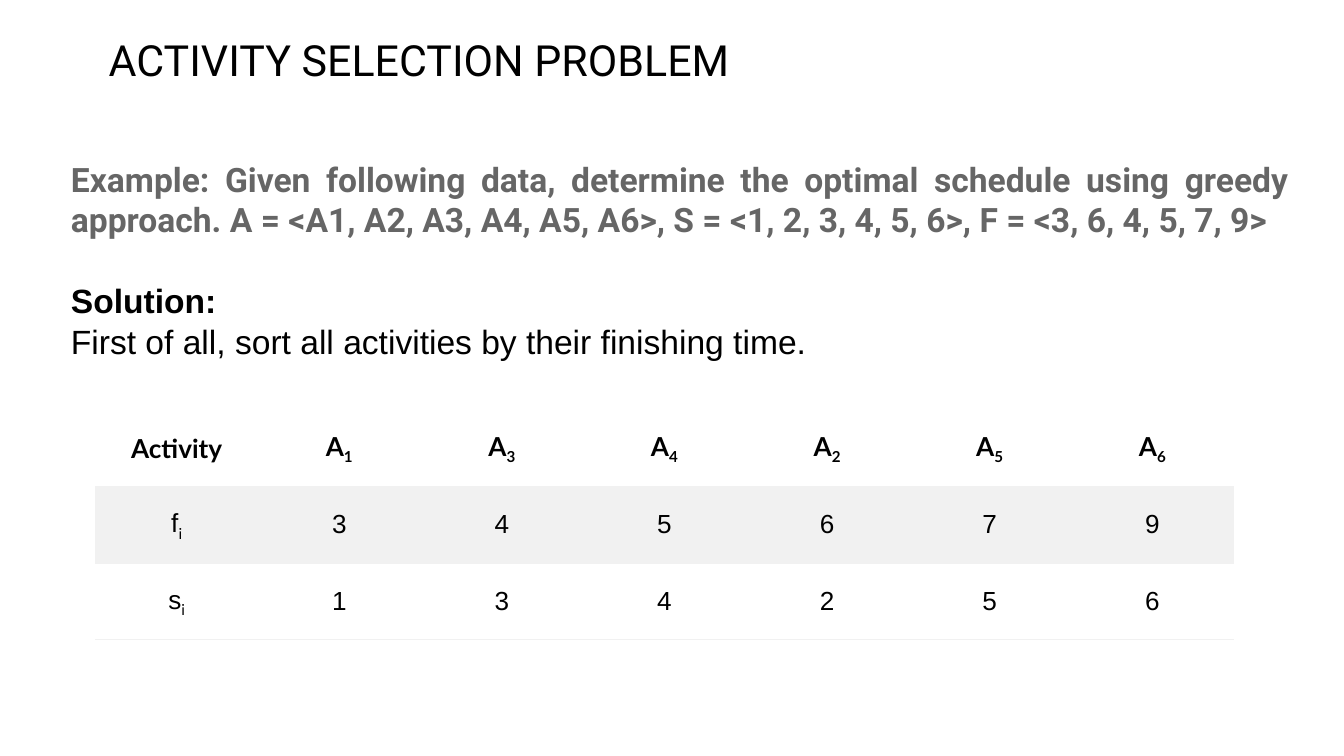
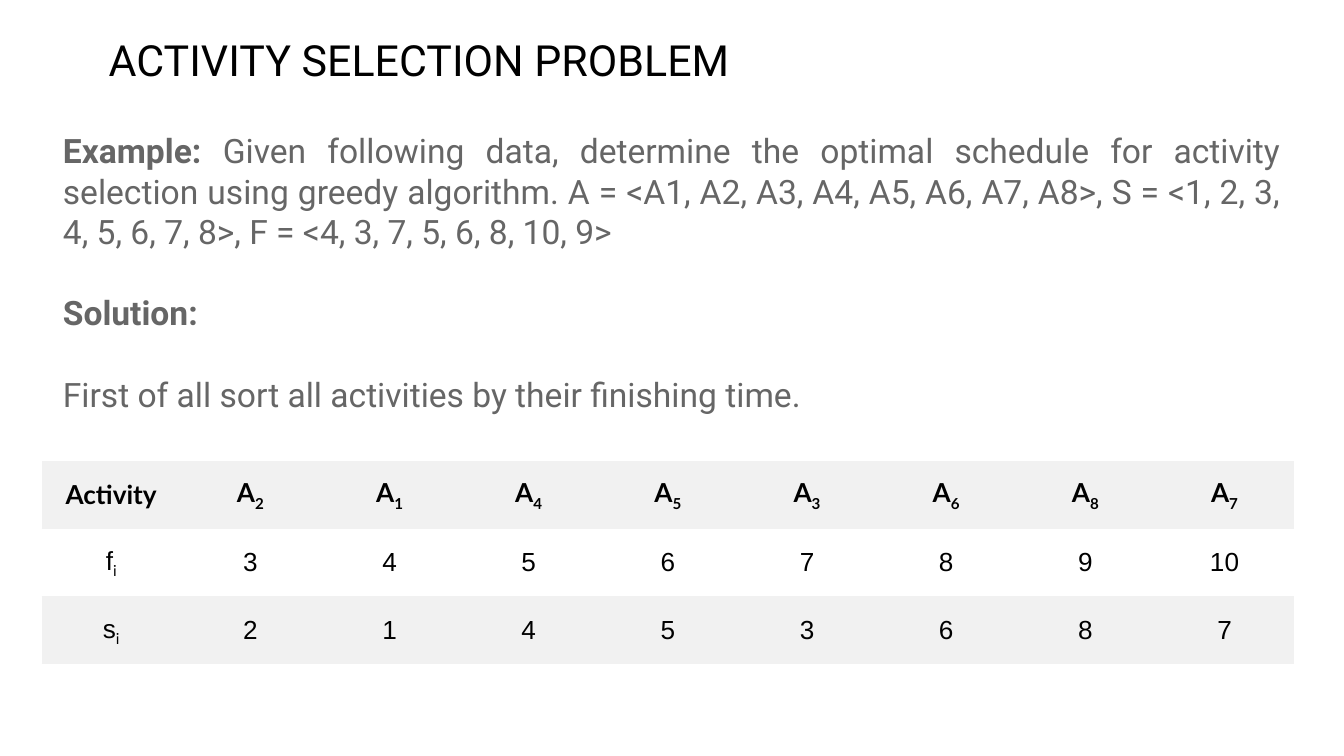
from dataclasses import dataclass

from lxml import etree
from pptx import Presentation
from pptx.dml.color import RGBColor
from pptx.enum.text import MSO_ANCHOR, MSO_AUTO_SIZE, PP_ALIGN
from pptx.oxml.ns import qn
from pptx.util import Inches, Pt

LEFT, CENTER, JUSTIFY = PP_ALIGN.LEFT, PP_ALIGN.CENTER, PP_ALIGN.JUSTIFY
MIDDLE = MSO_ANCHOR.MIDDLE
GROW = MSO_AUTO_SIZE.SHAPE_TO_FIT_TEXT


@dataclass(frozen=True)
class Theme:
    black: str = "000000"
    gray: str = "666666"
    white: str = "FFFFFF"
    band: str = "F1F1F1"
    heading_font: str = "Roboto"
    body_font: str = "Arial"
    label_font: str = "Lato"
    title_size: float = 23
    body_size: float = 18
    cell_size: float = 14
    paragraph_gap: float = 22
    rule_width: float = 0.75


@dataclass(frozen=True)
class Line:
    """One paragraph: (text, bold) spans and their common style."""
    spans: tuple
    font: str
    color: str
    align: PP_ALIGN = JUSTIFY
    gap: bool = False


class Deck:
    def __init__(self, theme):
        self.theme = theme
        self.presentation = Presentation()
        # Widescreen, 16:9
        self.presentation.slide_width = Inches(10)
        self.presentation.slide_height = Inches(10) * 9 // 16
        self.page = None

    def add_page(self, title):
        self.page = self.presentation.slides.add_slide(
            self.presentation.slide_layouts[6])
        heading = Line(((title, False),), self.theme.heading_font,
                       self.theme.black, LEFT)
        self.add_text((0.71, 0.15, 7.16, 0.59), [heading], self.theme.title_size)

    def add_span(self, para, text, font, size, color, bold=False):
        span = para.add_run()
        span.text = text
        span.font.name = font
        span.font.size = Pt(size)
        span.font.bold = bold
        span.font.color.rgb = RGBColor.from_string(color)
        return span

    def add_text(self, place, lines, size):
        box = self.page.shapes.add_textbox(*map(Inches, place))
        frame = box.text_frame
        frame.word_wrap = True
        frame.auto_size = GROW
        frame.margin_left = frame.margin_right = Inches(0.1)
        frame.margin_top = frame.margin_bottom = Inches(0.1)
        for index, line in enumerate(lines):
            para = frame.add_paragraph() if index else frame.paragraphs[0]
            para.alignment = line.align
            if line.gap:
                para.space_before = Pt(self.theme.paragraph_gap)
            for text, bold in line.spans:
                self.add_span(para, text, line.font, size, line.color, bold)

    def set_borders(self, cell, ruled_sides):
        properties = cell._tc.get_or_add_tcPr()
        for side in "LRTB":
            border = etree.SubElement(properties, qn(f"a:ln{side}"))
            if side in ruled_sides:
                border.set("w", str(Pt(self.theme.rule_width)))
                fill = etree.SubElement(border, qn("a:solidFill"))
                etree.SubElement(fill, qn("a:srgbClr"), val=self.theme.band)
            else:
                etree.SubElement(border, qn("a:noFill"))

    def fill_cell(self, cell, text, is_header, color):
        theme = self.theme
        cell.vertical_anchor = MIDDLE
        cell.margin_left = cell.margin_right = Inches(0.05)
        cell.margin_top = cell.margin_bottom = Inches(0.05)
        self.set_borders(cell, "B" if is_header else "TB")
        cell.fill.solid()
        cell.fill.fore_color.rgb = RGBColor.from_string(color)

        # An underscore separates a symbol from its subscript
        symbol, _, subscript = text.partition("_")
        para = cell.text_frame.paragraphs[0]
        para.alignment = CENTER
        font = theme.label_font if is_header else theme.body_font
        self.add_span(para, symbol, font, theme.cell_size, theme.black, is_header)
        if subscript:
            span = self.add_span(para, subscript, theme.label_font,
                                 theme.cell_size, theme.black, is_header)
            span.font._element.set("baseline", "-25000")

    def add_table(self, place, rows, row_colors):
        left, top, width, height = map(Inches, place)
        columns = len(rows[0])
        table = self.page.shapes.add_table(
            len(rows), columns, left, top, width, height).table
        table.first_row = table.horz_banding = False
        for row_index, values in enumerate(rows):
            color = row_colors[row_index % len(row_colors)]
            for column_index, text in enumerate(values):
                self.fill_cell(table.cell(row_index, column_index), text,
                               row_index == 0, color)


def activity_rows(order, finishes, starts):
    return [["Activity"] + [f"A_{number}" for number in order],
            ["f_i"] + [str(value) for value in finishes],
            ["s_i"] + [str(value) for value in starts]]


def main():
    theme = Theme()
    deck = Deck(theme)
    title = "ACTIVITY SELECTION PROBLEM"
    question_style = (theme.heading_font, theme.gray)
    answer_style = (theme.body_font, theme.black, LEFT)

    # Six activities
    deck.add_page(title)
    deck.add_text((0.43, 1.08, 9.26, 2.32), [
        Line((("Example: Given following data, determine the optimal schedule "
               "using greedy approach. A = <A1, A2, A3, A4, A5, A6>, "
               "S = <1, 2, 3, 4, 5, 6>, F = <3, 6, 4, 5, 7, 9>", True),),
             *question_style),
        Line((("Solution:", True),), *answer_style, gap=True),
        Line((("First of all, sort all activities by their finishing time.",
               False),), *answer_style),
    ], theme.body_size)
    deck.add_table(
        (0.71, 3.05, 8.47, 1.71),
        activity_rows([1, 3, 4, 2, 5, 6], [3, 4, 5, 6, 7, 9], [1, 3, 4, 2, 5, 6]),
        (theme.white, theme.band))

    # Eight activities
    deck.add_page(title)
    deck.add_text((0.37, 0.87, 9.26, 2.93), [
        Line((("Example: ", True),
              ("Given following data, determine the optimal schedule for "
               "activity selection using greedy algorithm. "
               "A = <A1, A2, A3, A4, A5, A6, A7, A8>, "
               "S = <1, 2, 3, 4, 5, 6, 7, 8>, "
               "F = <4, 3, 7, 5, 6, 8, 10, 9>", False)), *question_style),
        Line((("Solution:", True),), *question_style, gap=True),
        Line((("First of all sort all activities by their finishing time.",
               False),), *question_style, gap=True),
    ], theme.body_size)
    deck.add_table(
        (0.31, 3.43, 9.32, 1.51),
        activity_rows([2, 1, 4, 5, 3, 6, 8, 7], range(3, 11),
                      [2, 1, 4, 5, 3, 6, 8, 7]),
        (theme.band, theme.white))

    deck.presentation.save("out.pptx")


if __name__ == "__main__":
    main()
